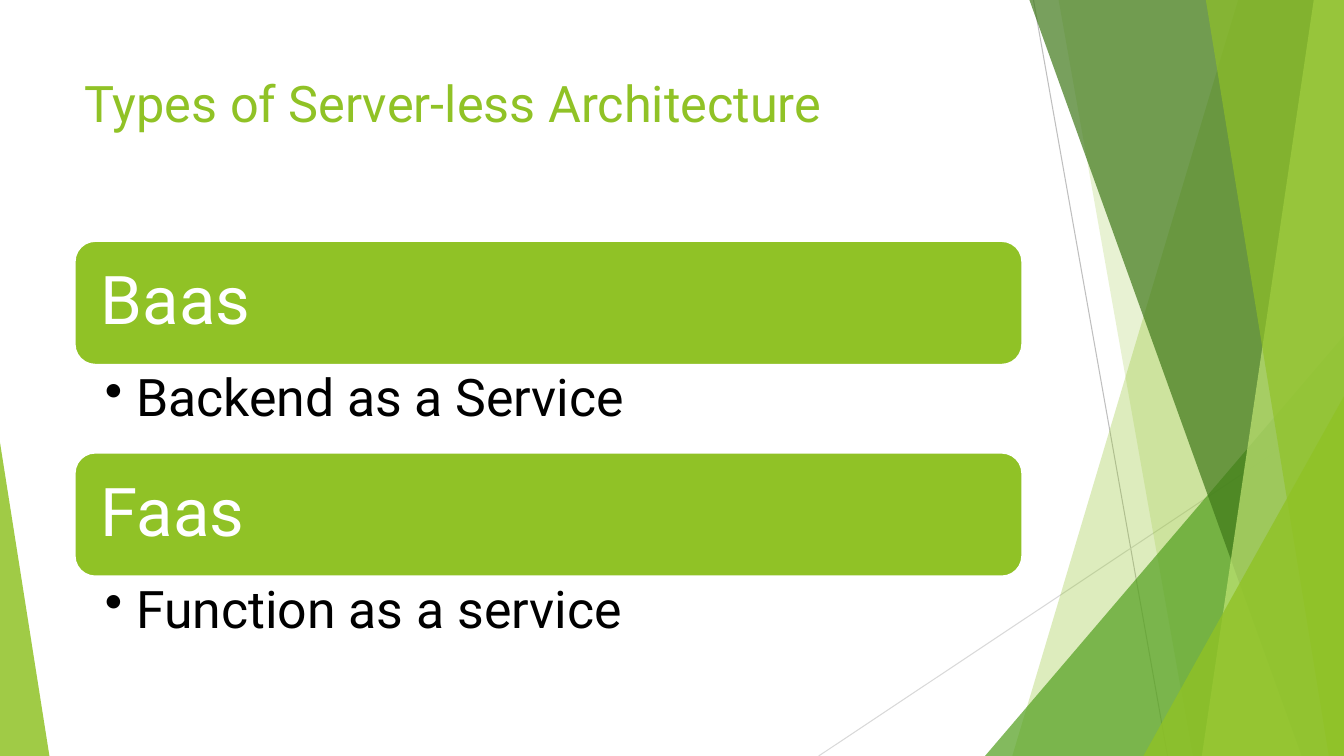
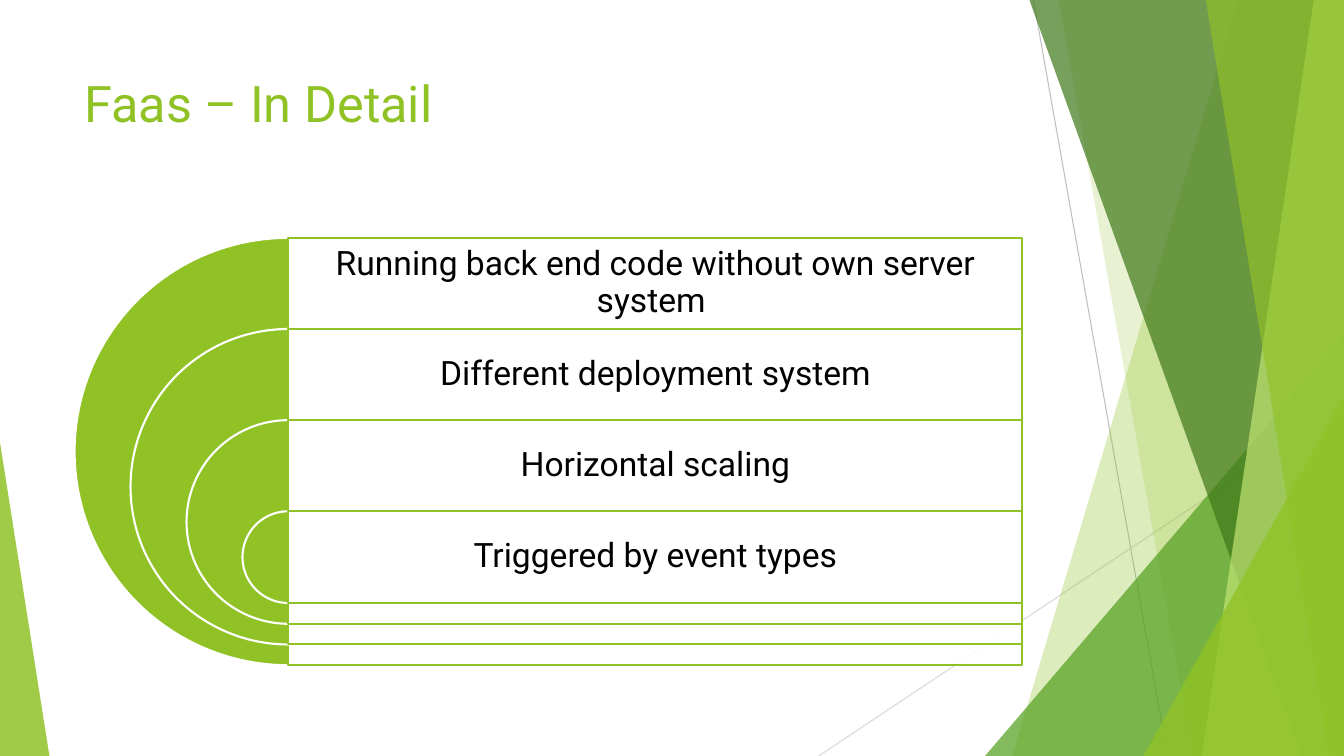
from pptx import Presentation
from pptx.dml.color import RGBColor
from pptx.enum.shapes import MSO_CONNECTOR, MSO_SHAPE
from pptx.enum.text import MSO_ANCHOR, PP_ALIGN
from pptx.oxml.ns import qn
from pptx.util import Inches, Pt
from lxml.etree import SubElement

# Shared style
FONT = "Roboto"
GREEN = RGBColor(0x90, 0xC2, 0x26)
MID_GREEN = RGBColor(0x54, 0xA0, 0x21)
DARK_GREEN = RGBColor(0x3F, 0x78, 0x19)
PALE_GREEN = RGBColor(0xC0, 0xE4, 0x74)
GREY = RGBColor(0xBF, 0xBF, 0xBF)
LIGHT_GREY = RGBColor(0xD9, 0xD9, 0xD9)
WHITE = RGBColor(0xFF, 0xFF, 0xFF)
BLACK = RGBColor(0, 0, 0)
WIDTH, HEIGHT = 13.33, 7.5
LEFT, CONTENT_W = 0.74, 9.4

# Backdrop: lines (x1, y1, x2, y2, colour)
LINES = [(10.25, 0, 11.58, HEIGHT, GREY), (WIDTH, 4.03, 8.12, HEIGHT, LIGHT_GREY)]
# Bands reach the right edge: (top x, bottom x, colour, opacity)
# Triangles stand on the bottom edge: (left, width, height, apex, colour, opacity)
BACKDROP = [
    ("band", 12.28, 10.04, GREEN, 30),
    ("band", 10.5, 11.83, GREEN, 20),
    ("triangle", 9.77, 3.56, 4.17, 1, MID_GREEN, 72),
    ("band", 10.21, 12.91, DARK_GREEN, 70),
    ("band", 13.03, 11.92, PALE_GREEN, 70),
    ("band", 11.96, 13.18, GREEN, 65),
    ("triangle", 11.34, 1.99, 3.57, 1, GREEN, 80),
    ("triangle", 0, 0.49, 3.11, 0, GREEN, 85),
]

# Content
TYPES_TITLE = "Types of Server-less Architecture"
TYPES = [("Baas", "Backend as a Service"), ("Faas", "Function as a service")]
DETAIL_TITLE = "Faas – In Detail"
DETAILS = [
    "Running back end code without own server system ",
    "Different deployment system",
    "Horizontal scaling",
    "Triggered by event types",
]


def paint(sp, fill, opacity=100, line=None):
    sp.shadow.inherit = False
    sp.fill.solid()
    sp.fill.fore_color.rgb = fill
    if opacity < 100:
        color = sp.fill._xPr.find(qn("a:solidFill"))[0]
        SubElement(color, qn("a:alpha"), val=str(opacity * 1000))
    if line is None:
        sp.line.fill.background()
    else:
        sp.line.color.rgb = line
        sp.line.width = Pt(1.5)


def add_shape(slide, kind, x, y, w, h, adjustments=()):
    sp = slide.shapes.add_shape(kind, Inches(x), Inches(y), Inches(w), Inches(h))
    for i, value in enumerate(adjustments):
        sp.adjustments[i] = value
    return sp


def add_textbox(slide, x, y, w, h):
    return slide.shapes.add_textbox(Inches(x), Inches(y), Inches(w), Inches(h))


def write(sp, text, size, color, margins, anchor=MSO_ANCHOR.TOP,
          align=PP_ALIGN.LEFT, spacing=0.9):
    tf = sp.text_frame
    tf.word_wrap = True
    tf.vertical_anchor = anchor
    (tf.margin_left, tf.margin_top,
     tf.margin_right, tf.margin_bottom) = [Inches(m) for m in margins]
    p = tf.paragraphs[0]
    p.text = text
    p.alignment = align
    p.line_spacing = spacing
    p.font.name = FONT
    p.font.size = Pt(size)
    p.font.color.rgb = color
    return p


def add_bullet(p, indent):
    pPr = p._p.get_or_add_pPr()
    pPr.set("marL", str(Inches(indent)))
    pPr.set("indent", str(-Inches(indent)))
    bullet = pPr.makeelement(qn("a:buChar"), {"char": "•"})
    pPr.insert_element_before(bullet, "a:tabLst", "a:defRPr", "a:extLst")


def add_band(slide, top_x, bottom_x):
    builder = slide.shapes.build_freeform(Inches(top_x), Inches(0))
    corners = [(WIDTH, 0), (WIDTH, HEIGHT), (bottom_x, HEIGHT)]
    builder.add_line_segments([(Inches(x), Inches(y)) for x, y in corners])
    return builder.convert_to_shape()


def add_slide(prs, title):
    slide = prs.slides.add_slide(prs.slide_layouts[6])
    for x1, y1, x2, y2, color in LINES:
        line = slide.shapes.add_connector(
            MSO_CONNECTOR.STRAIGHT, Inches(x1), Inches(y1), Inches(x2), Inches(y2))
        line.line.color.rgb = color
        line.line.width = Pt(0.75)
        SubElement(line._element.spPr, qn("a:effectLst"))
    for kind, *geometry, color, opacity in BACKDROP:
        if kind == "band":
            sp = add_band(slide, *geometry)
        else:
            x, w, h, apex = geometry
            sp = add_shape(slide, MSO_SHAPE.ISOSCELES_TRIANGLE,
                           x, HEIGHT - h, w, h, [apex])
        paint(sp, color, opacity)
    box = add_textbox(slide, LEFT, 0.67, CONTENT_W, 1.44)
    write(box, title, 36, GREEN, (0.1, 0.05, 0.1, 0.05), spacing=1)
    return slide


def build_types(prs):
    slide = add_slide(prs, TYPES_TITLE)
    top, bar_h, note_h = 2.39, 1.23, 0.87
    for i, (name, meaning) in enumerate(TYPES):
        y = top + i * (bar_h + note_h)
        bar = add_shape(slide, MSO_SHAPE.ROUNDED_RECTANGLE, LEFT, y, CONTENT_W, bar_h)
        paint(bar, GREEN, line=WHITE)
        write(bar, name, 48, WHITE, [0.2] * 4, MSO_ANCHOR.MIDDLE)
        note = add_textbox(slide, LEFT, y + bar_h, CONTENT_W, note_h)
        p = write(note, meaning, 37, BLACK, (0.3, 0.07, 0.37, 0.07))
        add_bullet(p, 0.31)


def build_detail(prs):
    slide = add_slide(prs, DETAIL_TITLE)
    top, row_h, diameter, shrink, pad = 2.36, 0.9, 4.24, 1.11, 0.1
    center_x = LEFT + diameter / 2
    panel_w = LEFT + CONTENT_W - center_x
    for i, text in enumerate(DETAILS):
        y, size = top + i * 0.904, diameter - i * shrink
        # Half disc, angles in 60000ths of a degree over 100000
        pie = add_shape(slide, MSO_SHAPE.PIE, center_x - size / 2, y, size, size, (54, 162))
        paint(pie, GREEN, line=WHITE)
        # Panel as tall as its disc, text kept to the first row
        panel = add_shape(slide, MSO_SHAPE.RECTANGLE, center_x, y, panel_w, size)
        paint(panel, WHITE, 90, GREEN)
        write(panel, text, 24, BLACK, (pad, pad, pad, size - row_h + pad),
              MSO_ANCHOR.MIDDLE, PP_ALIGN.CENTER)


def main():
    prs = Presentation()
    prs.slide_width, prs.slide_height = Inches(WIDTH), Inches(HEIGHT)
    build_types(prs)
    build_detail(prs)
    prs.save("out.pptx")


if __name__ == "__main__":
    main()
